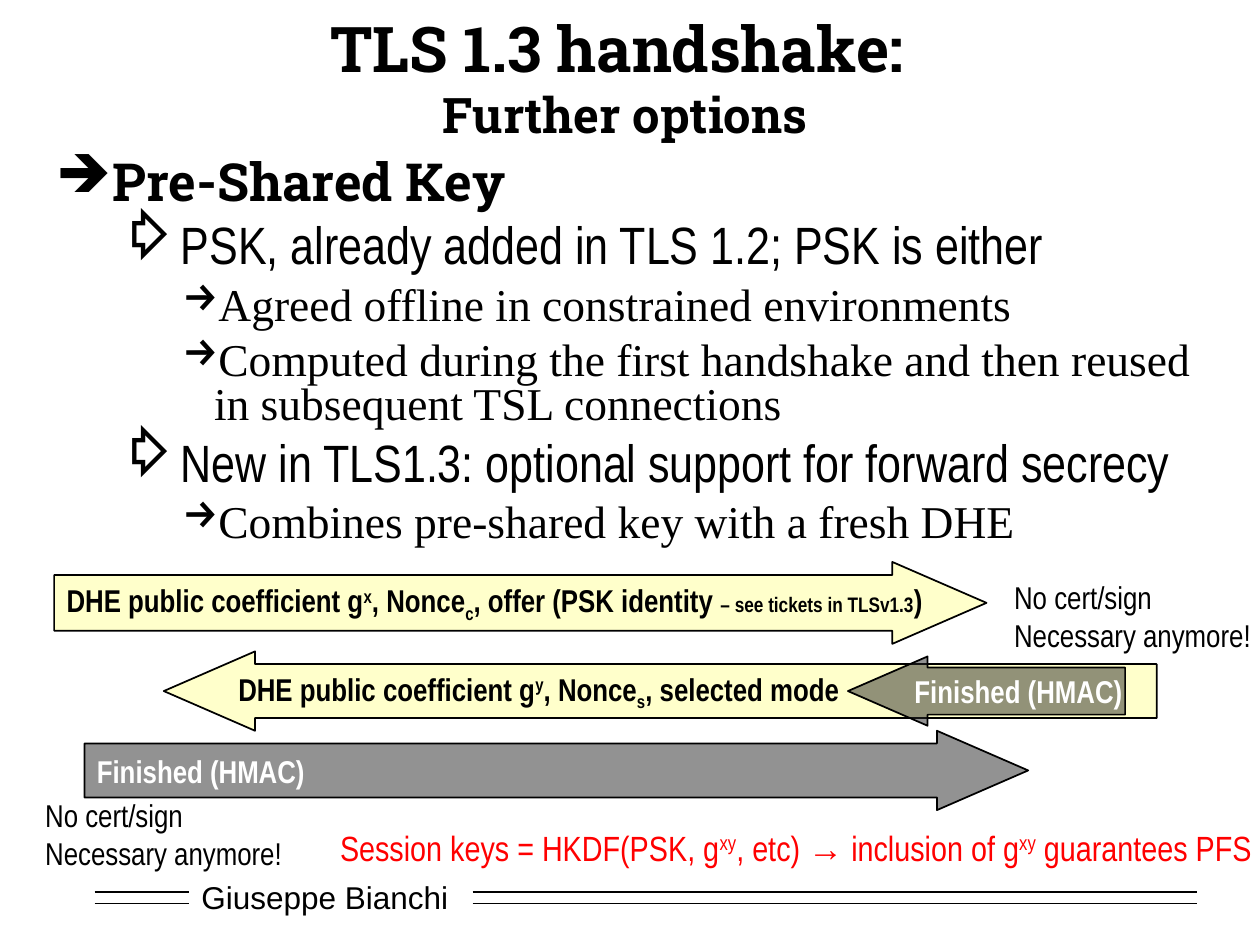
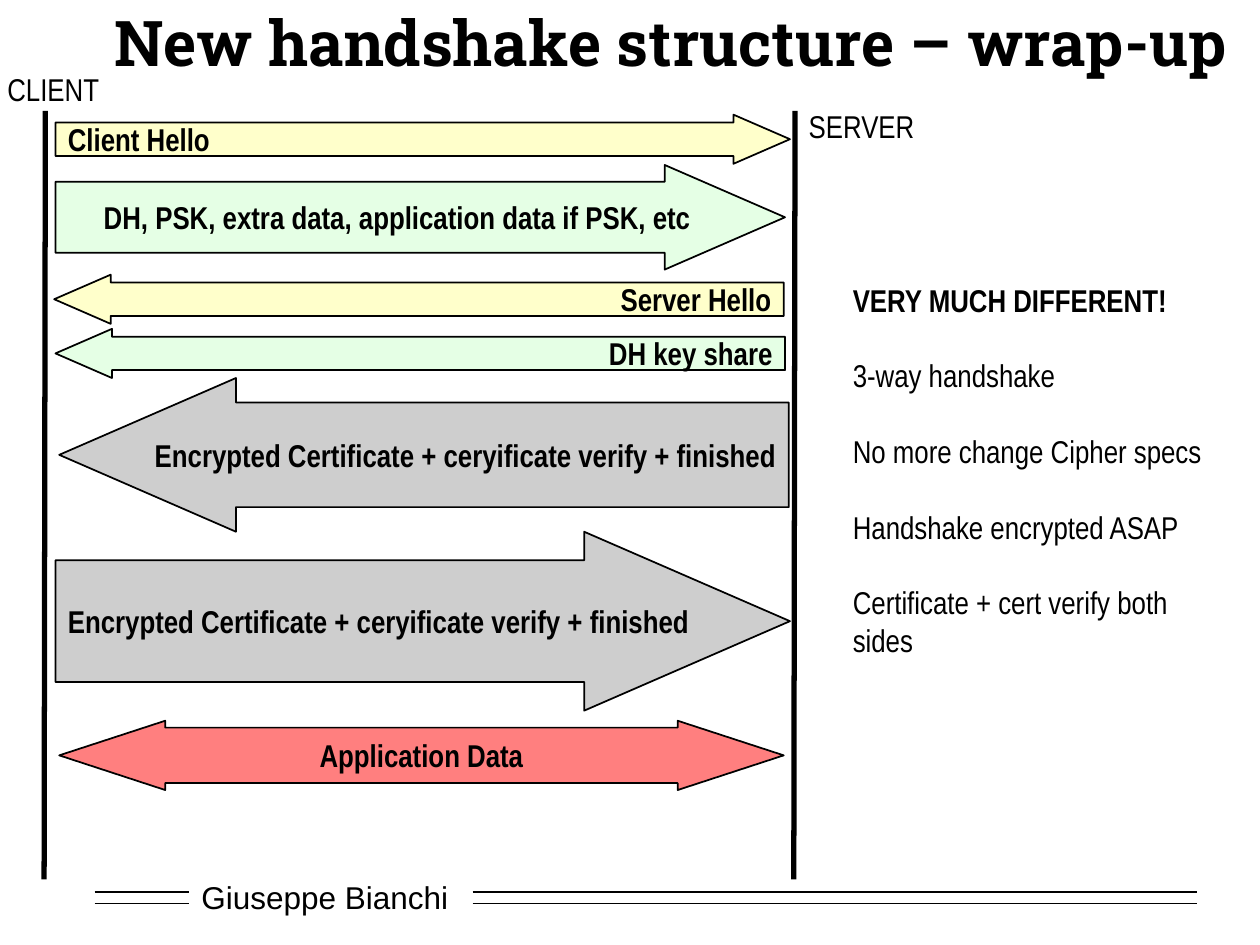
import dataclasses

import pptx
import pptx.dml.color
import pptx.enum.shapes
import pptx.enum.text
import pptx.oxml.ns
import pptx.util
from lxml import etree

Inches = pptx.util.Inches
Pt = pptx.util.Pt
RGB = pptx.dml.color.RGBColor.from_string
qn = pptx.oxml.ns.qn
MSO = pptx.enum.shapes.MSO_SHAPE
ALIGN = pptx.enum.text.PP_ALIGN
ANCHOR = pptx.enum.text.MSO_ANCHOR
AUTO = pptx.enum.text.MSO_AUTO_SIZE


@dataclasses.dataclass(frozen=True)
class Theme:
    black: str = "000000"
    white: str = "FFFFFF"
    red: str = "FF0000"
    yellow: str = "FFFF99"
    green: str = "CCFFCC"
    dark: str = "262626"
    grey: str = "CECECE"
    slab: str = "Roboto Slab"
    narrow: str = "Arial Narrow"
    sans: str = "Arial"
    serif: str = "Times New Roman"
    title: int = 36
    subtitle: int = 28
    head: int = 30
    detail: int = 26
    keys: int = 20
    label: int = 18
    small: int = 12


T = Theme()
SUP, SUB = {"baseline": 30000}, {"baseline": -25000}


def write(sp, paras, font=T.narrow, size=T.label, color=T.black, bold=False,
          align=ALIGN.LEFT, anchor=ANCHOR.TOP, wrap=False, gap=0):
    """Each paragraph is a list of strings or (string, overrides) pairs."""
    tf = sp.text_frame
    tf.word_wrap = wrap
    tf.vertical_anchor = anchor
    for i, runs in enumerate(paras):
        p = tf.paragraphs[0] if i == 0 else tf.add_paragraph()
        p.alignment = align
        if i and gap:
            p.space_before = Pt(gap)
        for run in runs:
            text, style = (run, {}) if isinstance(run, str) else run
            if text == "\v":
                p.add_line_break()
                continue
            r = p.add_run()
            r.text = text
            r.font.name = style.get("font", font)
            r.font.size = Pt(style.get("size", size))
            r.font.bold = style.get("bold", bold)
            r.font.color.rgb = RGB(color)
            if "baseline" in style:
                r.font._element.set("baseline", str(style["baseline"]))


def line(s, x1, y1, x2, y2, width=1):
    c = s.shapes.add_connector(pptx.enum.shapes.MSO_CONNECTOR.STRAIGHT,
                               Inches(x1), Inches(y1), Inches(x2), Inches(y2))
    c.line.color.rgb = RGB(T.black)
    c.line.width = Pt(width)
    etree.SubElement(c._element.spPr, qn("a:effectLst"))


prs = pptx.Presentation()
prs.slide_width, prs.slide_height = Inches(10), Inches(7.5)

# Title and footer of both slides
titles = [
    ((0.75, 0.25, 8.42, 0.71),
     ["TLS 1.3 handshake: ", "\v", ("Further options", {"size": T.subtitle})]),
    ((0.54, -0.03, 9.57, 0.71), ["New handshake structure – wrap-up"]),
]
slides = []
for box, title in titles:
    s = prs.slides.add_slide(prs.slide_layouts[6])
    slides.append(s)
    sp = s.shapes.add_shape(MSO.RECTANGLE, Inches(1.5), Inches(6.92),
                            Inches(2.17), Inches(0.4))
    sp.shadow.inherit = False
    sp.fill.solid()
    sp.fill.fore_color.rgb = RGB(T.white)
    sp.line.fill.background()
    write(sp, [["Giuseppe Bianchi"]], T.sans, anchor=ANCHOR.MIDDLE, wrap=True)
    for y in (7.08, 7.17):
        for x1, x2 in ((0.75, 1.5), (3.75, 9.5)):
            line(s, x1, y, x2, y)
    sp = s.shapes.add_textbox(*map(Inches, box))
    write(sp, [title], T.slab, T.title, bold=True, align=ALIGN.CENTER,
          anchor=ANCHOR.MIDDLE, wrap=True)
options, wrapup = slides

# Pre-shared key bullets: bullet, left margin, hanging, space, size, font
levels = [
    ("➔", 0.38, 0.38, 7.5, T.head, T.slab),
    ("⇨", 0.81, 0.31, 7.5, T.head, T.narrow),
    ("→", 1.25, 0.25, 6.5, T.detail, T.serif),
]
bullets = [
    (0, "Pre-Shared Key"),
    (1, "PSK, already added in TLS 1.2; PSK is either"),
    (2, "Agreed offline in constrained environments"),
    (2, "Computed during the first handshake and then reused in subsequent "
        "TSL connections"),
    (1, "New in TLS1.3: optional support for forward secrecy"),
    (2, "Combines pre-shared key with a fresh DHE"),
]
sp = options.shapes.add_textbox(Inches(0.35), Inches(1.23), Inches(9.21), Inches(3.46))
tf = sp.text_frame
tf.word_wrap = True
tf.text = "\n".join(text for _, text in bullets)
for i, (p, (level, _)) in enumerate(zip(tf.paragraphs, bullets)):
    mark, margin, hang, space, size, font = levels[level]
    p.level = level
    p.line_spacing = 0.8
    if i:
        p.space_before = Pt(space)
    pPr = p._p.get_or_add_pPr()
    pPr.set("marL", str(Inches(margin)))
    pPr.set("indent", str(-Inches(hang)))
    etree.SubElement(etree.SubElement(pPr, qn("a:buClr")), qn("a:srgbClr"), val=T.black)
    etree.SubElement(pPr, qn("a:buChar"), char=mark)
    r = p.runs[0]
    r.font.name = font
    r.font.size = Pt(size)
    r.font.bold = level == 0
    r.font.color.rgb = RGB(T.black)

# Client and server lifelines
for x in (0.36, 6.31):
    line(wrapup, x, 0.88, x - 0.01, 6.98, 3)

# Message arrows: slide, shape, box, fill, opacity, text colour, alignment, runs
L, R, BOTH = MSO.LEFT_ARROW, MSO.RIGHT_ARROW, MSO.LEFT_RIGHT_ARROW
certificate = ["Encrypted Certificate + ceryificate verify + finished"]
finished = ["Finished (HMAC)"]
arrows = [
    (options, L, (1.3, 5.17, 7.88, 0.63), T.yellow, 50, T.black, ALIGN.LEFT,
     ["DHE public coefficient g", ("y", SUP), ", Nonce", ("s", SUB), ", selected mode"]),
    (options, R, (0.43, 4.46, 7.4, 0.65), T.yellow, 50, T.black, ALIGN.LEFT,
     ["DHE public coefficient g", ("x", SUP), ", Nonce", ("c", SUB),
      ", offer (PSK identity ", ("– see tickets in TLSv1.3", {"size": T.small}), ")"]),
    (options, L, (6.73, 5.21, 2.2, 0.55), T.dark, 50, T.white, ALIGN.LEFT, finished),
    (options, R, (0.67, 5.8, 7.49, 0.63), T.dark, 50, T.white, ALIGN.LEFT, finished),
    (wrapup, L, (0.43, 2.18, 5.79, 0.39), T.yellow, 50, T.black, ALIGN.RIGHT,
     ["Server Hello"]),
    (wrapup, R, (0.44, 0.91, 5.83, 0.39), T.yellow, 50, T.black, ALIGN.LEFT,
     ["Client Hello"]),
    (wrapup, R, (0.44, 1.31, 5.79, 0.83), T.green, 50, T.black, ALIGN.RIGHT,
     ["DH, PSK, extra data, application data if PSK, etc"]),
    (wrapup, L, (0.44, 2.61, 5.79, 0.39), T.green, 50, T.black, ALIGN.RIGHT,
     ["DH key share"]),
    (wrapup, R, (0.44, 4.22, 5.83, 1.42), T.grey, 100, T.black, ALIGN.LEFT, certificate),
    (wrapup, L, (0.47, 3, 5.79, 1.22), T.grey, 100, T.black, ALIGN.RIGHT, certificate),
    (wrapup, BOTH, (0.47, 5.72, 5.75, 0.55), T.red, 50, T.black, ALIGN.CENTER,
     ["Application Data"]),
]
for s, kind, box, fill, opacity, color, align, runs in arrows:
    sp = s.shapes.add_shape(kind, *map(Inches, box))
    sp.shadow.inherit = False
    shaft, head = (0.8, 1.53) if kind == BOTH else (0.68, 1.15)
    sp.adjustments[0], sp.adjustments[1] = shaft, head
    sp.fill.solid()
    sp.fill.fore_color.rgb = RGB(fill)
    if opacity < 100:
        clr = sp._element.spPr.find(qn("a:solidFill")).find(qn("a:srgbClr"))
        etree.SubElement(clr, qn("a:alpha"), val=str(opacity * 1000))
    sp.line.color.rgb = RGB(T.black)
    sp.line.width = Pt(1)
    write(sp, [runs], color=color, bold=True, align=align, anchor=ANCHOR.MIDDLE)

# Labels and remarks: slide, box, paragraphs, style
no_cert = [["No cert/sign"], ["Necessary anymore!"]]
session_keys = [["Session keys = HKDF(PSK, g", ("xy", SUP), ", etc) ",
                 ("→", {"font": T.sans}), " inclusion of g", ("xy", SUP),
                 " guarantees PFS"]]
remarks = [
    [("VERY MUCH DIFFERENT!", {"bold": True})],
    ["3-way handshake"],
    ["No more change Cipher specs"],
    ["Handshake encrypted ASAP"],
    ["Certificate + cert verify both sides"],
]
labels = [
    (options, (7.95, 4.54, 2.08, 0.7), no_cert, {}),
    (options, (0.26, 6.27, 2.08, 0.7), no_cert, {}),
    (options, (2.6, 6.51, 7.49, 0.44), session_keys, {"size": T.keys, "color": T.red}),
    (wrapup, (-0.04, 0.51, 0.93, 0.4), [["CLIENT"]], {}),
    (wrapup, (6.32, 0.8, 1.04, 0.4), [["SERVER"]], {}),
    (wrapup, (6.67, 2.18, 3.23, 2.8), remarks, {"gap": 21.6}),
]
for s, box, paras, style in labels:
    sp = s.shapes.add_textbox(*map(Inches, box))
    write(sp, paras, **style)
    sp.text_frame.auto_size = AUTO.SHAPE_TO_FIT_TEXT

prs.save("out.pptx")
